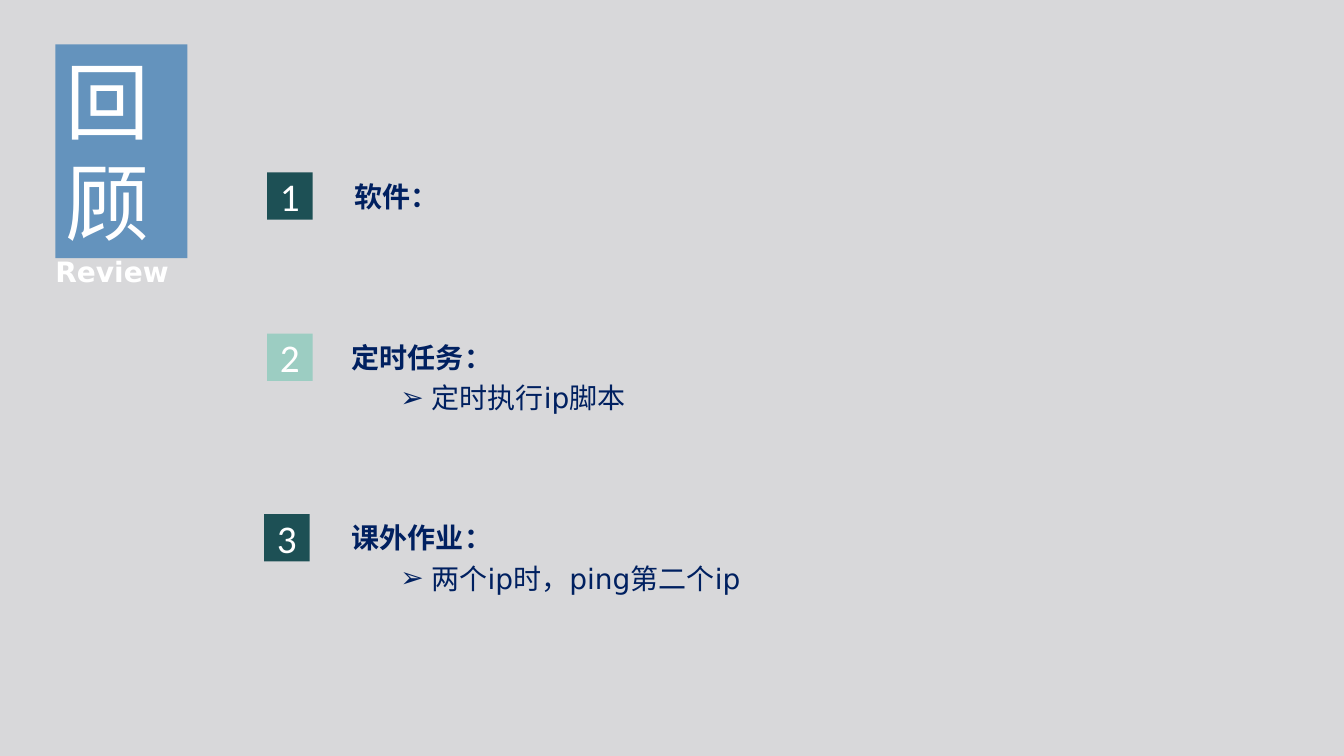
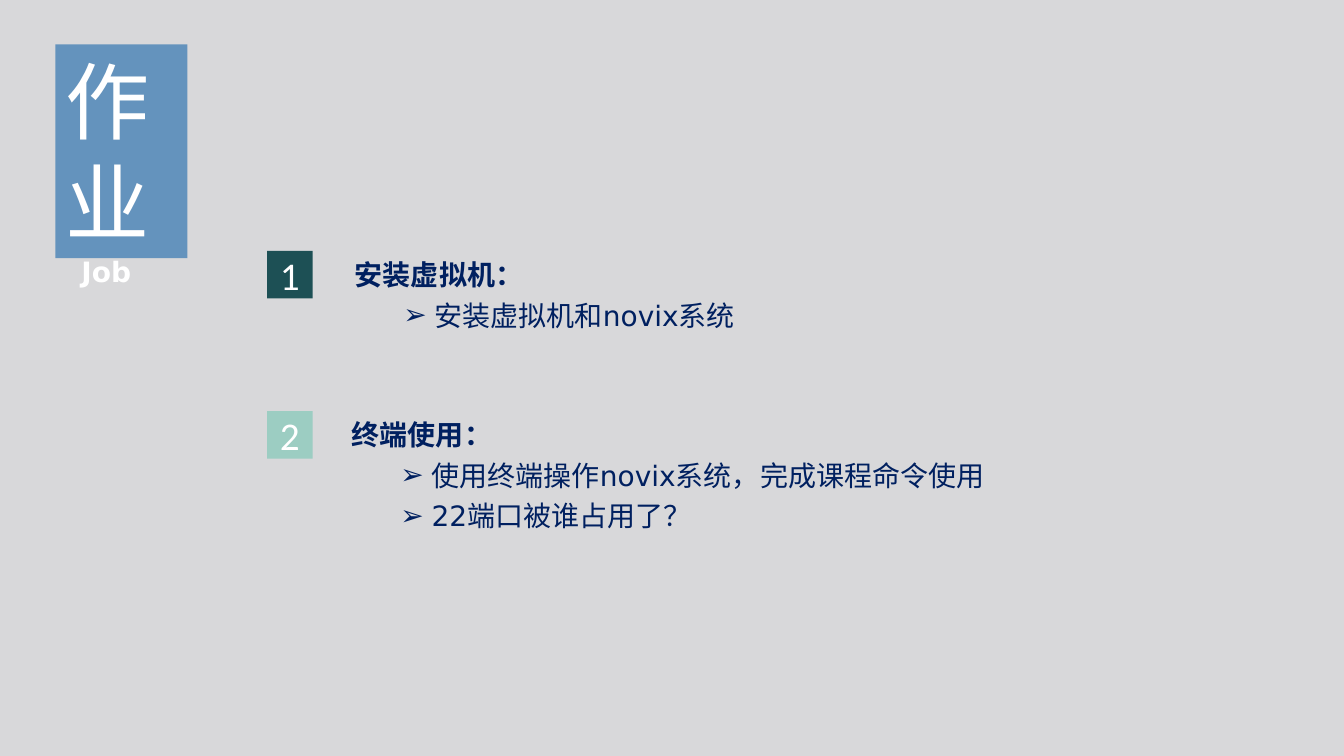
from lxml import etree
from pptx import Presentation
from pptx.dml.color import RGBColor
from pptx.enum.shapes import MSO_SHAPE
from pptx.enum.text import MSO_ANCHOR, PP_ALIGN
from pptx.oxml.ns import qn
from pptx.util import Inches, Pt

BACKGROUND = RGBColor(0xD8, 0xD8, 0xDA)
BLUE = RGBColor(0x34, 0x77, 0xB2)
NAVY = RGBColor(0x00, 0x20, 0x60)
WHITE = RGBColor(0xFF, 0xFF, 0xFF)
BADGE_COLORS = [RGBColor(0x1D, 0x50, 0x55), RGBColor(0x9C, 0xCD, 0xC2)]

RECTANGLE = MSO_SHAPE.RECTANGLE
TOP, MIDDLE = MSO_ANCHOR.TOP, MSO_ANCHOR.MIDDLE
LEFT, CENTER = PP_ALIGN.LEFT, PP_ALIGN.CENTER

TITLE_FONT, TEXT_FONT, NUMBER_FONT = "Noto Sans CJK SC", "DejaVu Sans", "Calibri"

# Each item: badge left, text left, top (inches), heading, bullets
SLIDES = [
    {
        "title": "回顾", "label": "Review", "label_left": 0.45,
        "items": [
            (2.65, 3.52, 1.71, "软件：", []),
            (2.65, 3.49, 3.31, "定时任务：", ["定时执行ip脚本"]),
            (2.62, 3.49, 5.1, "课外作业：", ["两个ip时，ping第二个ip"]),
        ],
    },
    {
        "title": "作业", "label": "Job", "label_left": 0.71,
        "items": [
            (2.65, 3.52, 2.49, "安装虚拟机：", ["安装虚拟机和novix系统"]),
            (2.65, 3.49, 4.08, "终端使用：",
             ["使用终端操作novix系统，完成课程命令使用", "22端口被谁占用了？"]),
        ],
    },
]


def format_paragraph(paragraph, font_name, size, color, bold=False):
    for run in paragraph.runs:
        run.font.name = font_name
        run.font.size = Pt(size)
        run.font.bold = bold
        run.font.color.rgb = color
        east_asian = etree.SubElement(run.font._element, qn("a:ea"))
        east_asian.set("typeface", font_name)


def add_bullet(paragraph):
    properties = paragraph._p.get_or_add_pPr()
    properties.set("marL", str(Inches(0.79)))
    properties.set("indent", str(Inches(-0.31)))
    etree.SubElement(properties, qn("a:buFont")).set("typeface", TEXT_FONT)
    etree.SubElement(properties, qn("a:buChar")).set("char", "➢")


def add_rectangle(slide, left, top, width, height, color, text, font_name, size,
                  anchor, alignment):
    shape = slide.shapes.add_shape(
        RECTANGLE, Inches(left), Inches(top), Inches(width), Inches(height))
    shape.shadow.inherit = False
    shape.fill.solid()
    shape.fill.fore_color.rgb = color
    shape.line.fill.background()
    text_frame = shape.text_frame
    text_frame.text = text
    text_frame.word_wrap = True
    text_frame.vertical_anchor = anchor
    paragraph = text_frame.paragraphs[0]
    paragraph.alignment = alignment
    format_paragraph(paragraph, font_name, size, WHITE)
    return shape


def add_text_frame(slide, left, top, width, height):
    text_box = slide.shapes.add_textbox(
        Inches(left), Inches(top), Inches(width), Inches(height))
    text_box.text_frame.word_wrap = True
    return text_box.text_frame


def add_title(slide, title, label, label_left):
    panel = add_rectangle(slide, 0.55, 0.44, 1.31, 2.12, BLUE, title,
                          TITLE_FONT, 60, TOP, LEFT)
    panel_color = panel.fill._xPr.find(qn("a:solidFill"))[0]
    etree.SubElement(panel_color, qn("a:alpha")).set("val", "70000")
    text_frame = add_text_frame(slide, label_left, 2.48, 1.82, 0.44)
    text_frame.text = label
    format_paragraph(text_frame.paragraphs[0], TEXT_FONT, 20, WHITE, bold=True)


def add_item(slide, index, badge_left, text_left, top, heading, bullets):
    add_rectangle(slide, badge_left, top, 0.45, 0.47,
                  BADGE_COLORS[index % len(BADGE_COLORS)], str(index + 1),
                  NUMBER_FONT, 28, MIDDLE, CENTER)
    text_frame = add_text_frame(slide, text_left, top, 6.6, 1.32)
    text_frame.margin_left = text_frame.margin_right = 0
    text_frame.margin_top = text_frame.margin_bottom = 0
    text_frame.text = "\n".join([heading, *bullets])
    for position, paragraph in enumerate(text_frame.paragraphs):
        paragraph.line_spacing = 1.2
        format_paragraph(paragraph, TEXT_FONT, 20, NAVY, bold=position == 0)
        if position > 0:
            add_bullet(paragraph)


def main():
    presentation = Presentation()
    presentation.slide_width = Inches(13.33)
    presentation.slide_height = Inches(7.5)
    master_fill = presentation.slide_master.background.fill
    master_fill.solid()
    master_fill.fore_color.rgb = BACKGROUND
    blank_layout = presentation.slide_layouts[6]
    for content in SLIDES:
        slide = presentation.slides.add_slide(blank_layout)
        add_title(slide, content["title"], content["label"], content["label_left"])
        for index, item in enumerate(content["items"]):
            add_item(slide, index, *item)
    presentation.save("out.pptx")


if __name__ == "__main__":
    main()
